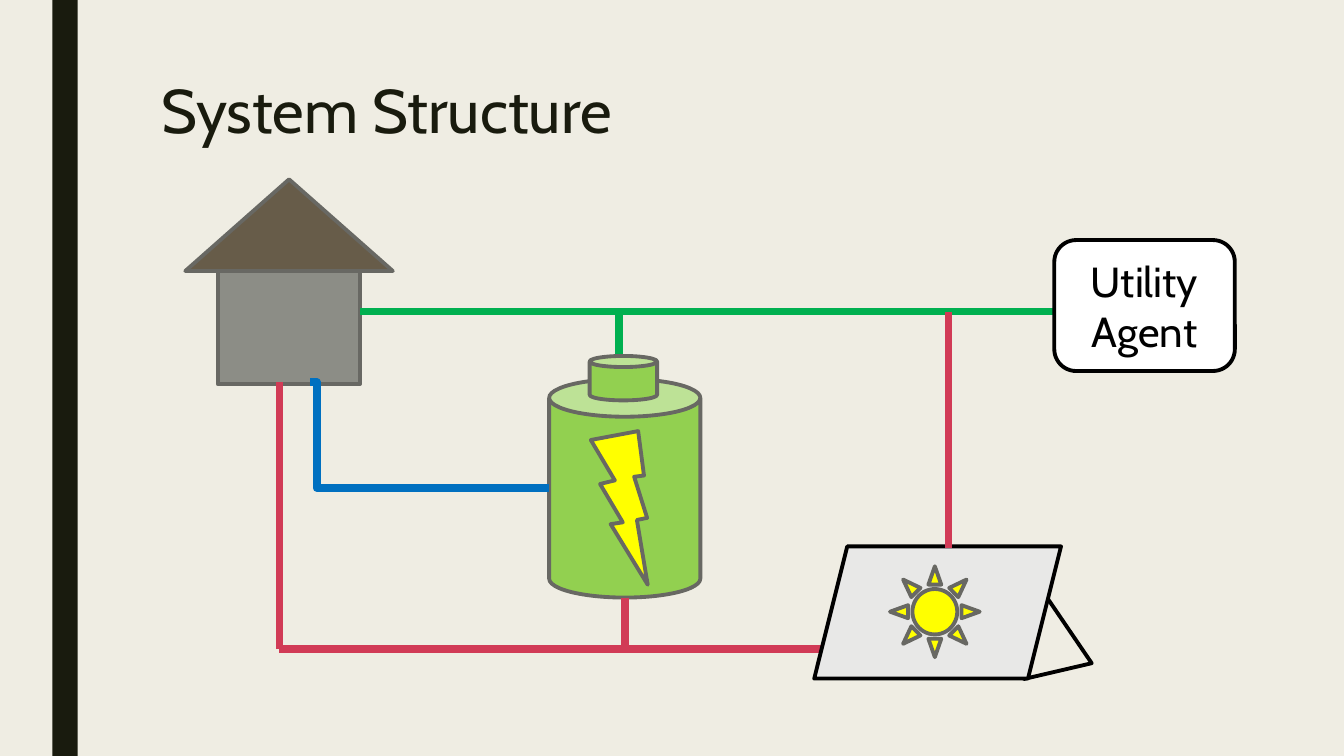
"""Build the System Structure slide: a house, battery and solar panel wired to a utility agent."""
from lxml import etree
from pptx import Presentation
from pptx.dml.color import RGBColor
from pptx.enum.shapes import MSO_CONNECTOR, MSO_SHAPE
from pptx.enum.text import MSO_ANCHOR, PP_ALIGN
from pptx.oxml.ns import qn
from pptx.util import Cm, Pt

RECTANGLE, ROUNDED = MSO_SHAPE.RECTANGLE, MSO_SHAPE.ROUNDED_RECTANGLE
CAN, BOLT, SUN = MSO_SHAPE.CAN, MSO_SHAPE.LIGHTNING_BOLT, MSO_SHAPE.SUN
TRIANGLE, PARALLELOGRAM = MSO_SHAPE.ISOSCELES_TRIANGLE, MSO_SHAPE.PARALLELOGRAM
STRAIGHT, ELBOW = MSO_CONNECTOR.STRAIGHT, MSO_CONNECTOR.ELBOW

FONT = "Cabin"
COLORS = {
    "background": "EFEDE3", "dark": "191B0E", "black": "000000", "white": "FFFFFF",
    "outline": "686863", "battery": "92D050", "yellow": "FFFF00",
    "wall": "8C8D86", "roof": "675C49", "panel": "E8E8E7",
    "grid": "00B050", "solar": "D13B56", "storage": "0070C0",
}
COLORS = {name: RGBColor.from_string(value) for name, value in COLORS.items()}
GRID_Y, SOLAR_Y = 7.85, 16.36
HOUSE_X, BATTERY_X, PANEL_X = 7.04, 15.75, 23.9
HOUSE_BOTTOM = 9.63


def add_part(shapes, kind, box, fill, line, rotation=0):
    """Add a preset shape; box is left, top, width, height in cm."""
    shape = shapes.add_shape(kind, *map(Cm, box))
    shape.shadow.inherit = False
    shape.rotation = rotation
    if fill:
        shape.fill.solid()
        shape.fill.fore_color.rgb = COLORS[fill]
    else:
        shape.fill.background()
    if line:
        shape.line.color.rgb = COLORS[line]
        shape.line.width = Pt(2.75)
    else:
        shape.line.fill.background()
    return shape


def add_wire(color, *ends, kind=STRAIGHT):
    """Add a wire; ends are the start x, y and end x, y in cm."""
    wire = slide.shapes.add_connector(kind, *map(Cm, ends))
    wire.line.color.rgb = COLORS[color]
    wire.line.width = Pt(5.5)
    etree.SubElement(wire._element.spPr, qn("a:effectLst"))
    return wire


presentation = Presentation()
presentation.slide_width, presentation.slide_height = Cm(33.87), Cm(19.05)
slide = presentation.slides.add_slide(presentation.slide_layouts[6])
slide.background.fill.solid()
slide.background.fill.fore_color.rgb = COLORS["background"]

add_part(slide.shapes, RECTANGLE, (1.32, 0, 0.64, 19.05), "dark", None)

title = slide.shapes.add_textbox(Cm(3.81), Cm(1.91), Cm(26.67), Cm(4.11))
title.text_frame.word_wrap = True
title.text_frame.text = "System Structure"
paragraph = title.text_frame.paragraphs[0]
paragraph.line_spacing = 0.89
paragraph.font.name, paragraph.font.size = FONT, Pt(44)
paragraph.font.color.rgb = COLORS["dark"]

add_wire("grid", 15.6, 13.06, 15.6, GRID_Y)

battery = slide.shapes.add_group_shape().shapes
add_part(battery, CAN, (13.84, 9.55, 3.81, 5.51), "battery", "outline")
add_part(battery, BOLT, (14.4, 10.85, 2.64, 3.53), "yellow", "outline", 20.9)
add_part(battery, CAN, (14.86, 8.97, 1.7, 1.12), "battery", "outline")

house = slide.shapes.add_group_shape().shapes
add_part(house, RECTANGLE, (5.49, 6.2, 3.58, 3.48), "wall", "outline")
add_part(house, TRIANGLE, (4.67, 4.52, 5.23, 2.31), "roof", "outline")

add_wire("solar", BATTERY_X, 15.06, BATTERY_X, SOLAR_Y)
add_wire("solar", HOUSE_X, SOLAR_Y, HOUSE_X, HOUSE_BOTTOM)
add_wire("grid", 29.06, GRID_Y, 9.07, GRID_Y)
add_wire("solar", 20.88, SOLAR_Y, HOUSE_X, SOLAR_Y)

panel = slide.shapes.add_group_shape().shapes
add_part(panel, TRIANGLE, (25.53, 14.68, 1.75, 2.26), None, "black", 346.9)
add_part(panel, PARALLELOGRAM, (20.52, 13.77, 6.22, 3.33), "panel", "black")
add_part(panel, SUN, (22.43, 14.27, 2.26, 2.29), "yellow", "outline")

storage_wire = add_wire("storage", 7.82, HOUSE_BOTTOM, 13.84, 12.3, kind=ELBOW)
geometry = storage_wire._element.spPr.find(qn("a:prstGeom"))
adjustments = geometry.find(qn("a:avLst"))
etree.SubElement(adjustments, qn("a:gd"), name="adj1", fmla="val 2700")

agent = add_part(slide.shapes, ROUNDED, (26.57, 6.05, 4.55, 3.3), "white", "black")
agent.text_frame.word_wrap = True
agent.text_frame.vertical_anchor = MSO_ANCHOR.MIDDLE
agent.text_frame.text = "Utility\nAgent"
for paragraph in agent.text_frame.paragraphs:
    paragraph.alignment = PP_ALIGN.CENTER
    paragraph.font.name, paragraph.font.size = FONT, Pt(30)
    paragraph.font.color.rgb = COLORS["black"]

add_wire("solar", PANEL_X, GRID_Y, PANEL_X, 13.82)

presentation.save("out.pptx")
